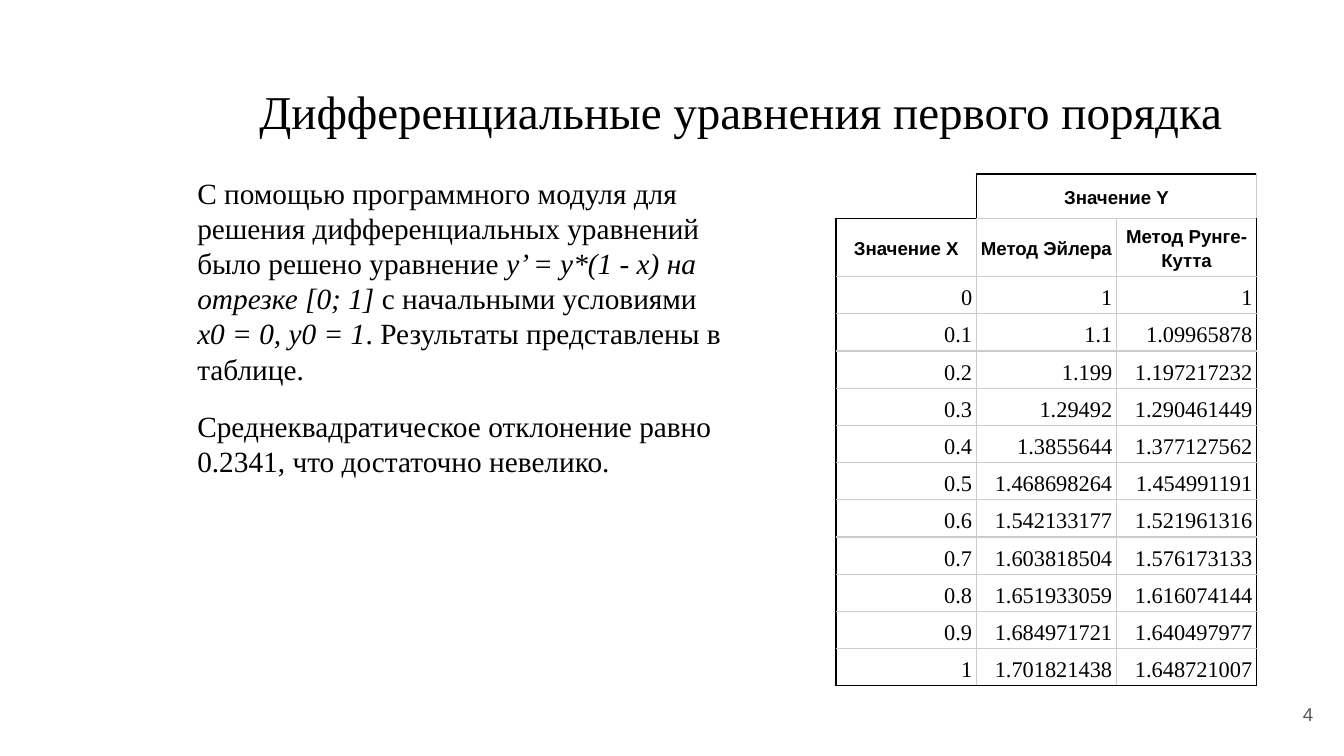
from lxml.etree import SubElement
from pptx import Presentation
from pptx.dml.color import RGBColor
from pptx.enum.text import MSO_ANCHOR as Anchor, PP_ALIGN as Align
from pptx.oxml.ns import qn
from pptx.util import Pt

# Content
TITLE = "Дифференциальные уравнения первого порядка"
NUMBER = "4"
BODY = [  # paragraphs of (text, italic)
    [("С помощью программного модуля для решения дифференциальных уравнений "
      "было решено уравнение ", False),
     ("y’ = y*(1 - x) на отрезке [0; 1]", True),
     (" с начальными условиями ", False),
     ("x0 = 0, y0 = 1", True),
     (". Результаты представлены в таблице.", False)],
    [("Среднеквадратическое отклонение равно 0.2341, что достаточно невелико.", False)],
]
ROWS = [
    ("", "Значение Y", ""),
    ("Значение X", "Метод Эйлера", "Метод Рунге-Кутта"),
    ("0", "1", "1"),
    ("0.1", "1.1", "1.09965878"),
    ("0.2", "1.199", "1.197217232"),
    ("0.3", "1.29492", "1.290461449"),
    ("0.4", "1.3855644", "1.377127562"),
    ("0.5", "1.468698264", "1.454991191"),
    ("0.6", "1.542133177", "1.521961316"),
    ("0.7", "1.603818504", "1.576173133"),
    ("0.8", "1.651933059", "1.616074144"),
    ("0.9", "1.684971721", "1.640497977"),
    ("1", "1.701821438", "1.648721007"),
]

# Formats
SERIF, SANS = "Times New Roman", "Arial"
BLACK, GRAY, DIM = "000000", "CCCCCC", "595959"
TITLE_FONT = dict(name=SERIF, size=Pt(25.2), bold=False)
BODY_FONT = dict(name=SERIF, size=Pt(15.7))
NUMBER_FONT = dict(name=SANS, size=Pt(10))
HEAD_FONT = dict(name=SANS, size=Pt(10), bold=True)
VALUE_FONT = dict(name=SERIF, size=Pt(12), bold=False)
HEADS = 2
COL_W = 75.1
HEIGHTS = [24, 29.8] + [19.3] * (len(ROWS) - HEADS)


def rgb(color):
    return RGBColor.from_string(color)


def apply(target, **values):
    for name, value in values.items():
        setattr(target, name, value)


def add_run(p, text, color, **font):
    r = p.add_run()
    r.text = text
    apply(r.font, **font)
    r.font.color.rgb = rgb(color)


def place(shape, left, top, width, height):
    apply(shape, left=Pt(left), top=Pt(top), width=Pt(width), height=Pt(height))


def set_frame(tf, anchor, top=7.2, right=7.2):
    apply(tf, word_wrap=True, vertical_anchor=anchor, margin_left=Pt(7.2),
          margin_right=Pt(right), margin_top=Pt(top), margin_bottom=Pt(7.2))


def edge_colors(row, col):
    """Colours of the left, right, top and bottom edges of a table cell."""
    last_row, last_col = len(ROWS) - 1, len(ROWS[0]) - 1
    if (row, col) == (0, 0):
        return dict(L=None, R=BLACK, T=None, B=BLACK)
    black = dict(L=col == 0 or (row == 0 and col == 1), R=col == last_col,
                 T=row == 0 or (row == 1 and col == 0), B=row == last_row)
    return {side: BLACK if on else GRAY for side, on in black.items()}


def draw_edges(cell, colors):
    props = cell._tc.get_or_add_tcPr()
    for i, (side, color) in enumerate(colors.items()):
        ln = SubElement(props, qn(f"a:ln{side}"), w=str(Pt(0.75)))
        if color:
            fill = SubElement(ln, qn("a:solidFill"))
            SubElement(fill, qn("a:srgbClr"), val=color)
        else:
            SubElement(ln, qn("a:noFill"))
        props.insert(i, ln)


prs = Presentation()
apply(prs, slide_width=Pt(720), slide_height=Pt(405))
s = prs.slides.add_slide(prs.slide_layouts[5])

# Title
title = s.shapes.title
place(title, 98.6, 35.3, 596.9, 45.4)
set_frame(title.text_frame, Anchor.TOP, top=9)
p = title.text_frame.paragraphs[0]
p.alignment = Align.CENTER
add_run(p, TITLE, BLACK, **TITLE_FONT)

# Explanation
tf = s.shapes.add_textbox(Pt(98.6), Pt(79.9), Pt(301), Pt(287.3)).text_frame
set_frame(tf, Anchor.TOP, top=13.8, right=9)
for i, runs in enumerate(BODY):
    p = tf.add_paragraph() if i else tf.paragraphs[0]
    apply(p, alignment=Align.LEFT, line_spacing=1.0, space_before=Pt(12 if i else 0))
    for text, italic in runs:
        add_run(p, text, BLACK, italic=italic, **BODY_FONT)

# Slide number
tf = s.shapes.add_textbox(Pt(667.4), Pt(367.2), Pt(43.2), Pt(31)).text_frame
set_frame(tf, Anchor.MIDDLE)
p = tf.paragraphs[0]
p.alignment = Align.RIGHT
add_run(p, NUMBER, DIM, **NUMBER_FONT)

# Table of values
cols = len(ROWS[0])
table = s.shapes.add_table(len(ROWS), cols, Pt(447.9), Pt(93.2),
                           Pt(COL_W * cols), Pt(sum(HEIGHTS))).table
apply(table, first_row=False, horz_banding=False)
for column in table.columns:
    column.width = Pt(COL_W)
for row, height in zip(table.rows, HEIGHTS):
    row.height = Pt(height)
for i, texts in enumerate(ROWS):
    head = i < HEADS
    for j, text in enumerate(texts):
        cell = table.cell(i, j)
        apply(cell, margin_left=Pt(2.2), margin_right=Pt(2.2),
              margin_top=Pt(1.7), margin_bottom=Pt(1.7),
              vertical_anchor=Anchor.MIDDLE if head else Anchor.BOTTOM)
        cell.fill.background()
        draw_edges(cell, edge_colors(i, j))
        p = cell.text_frame.paragraphs[0]
        apply(p, alignment=Align.CENTER if head else Align.RIGHT, line_spacing=1.15)
        if text:
            add_run(p, text, BLACK, **(HEAD_FONT if head else VALUE_FONT))
        else:
            SubElement(p._p, qn("a:endParaRPr"), sz="1000")
table.cell(0, 1).merge(table.cell(0, 2))

prs.save("out.pptx")
